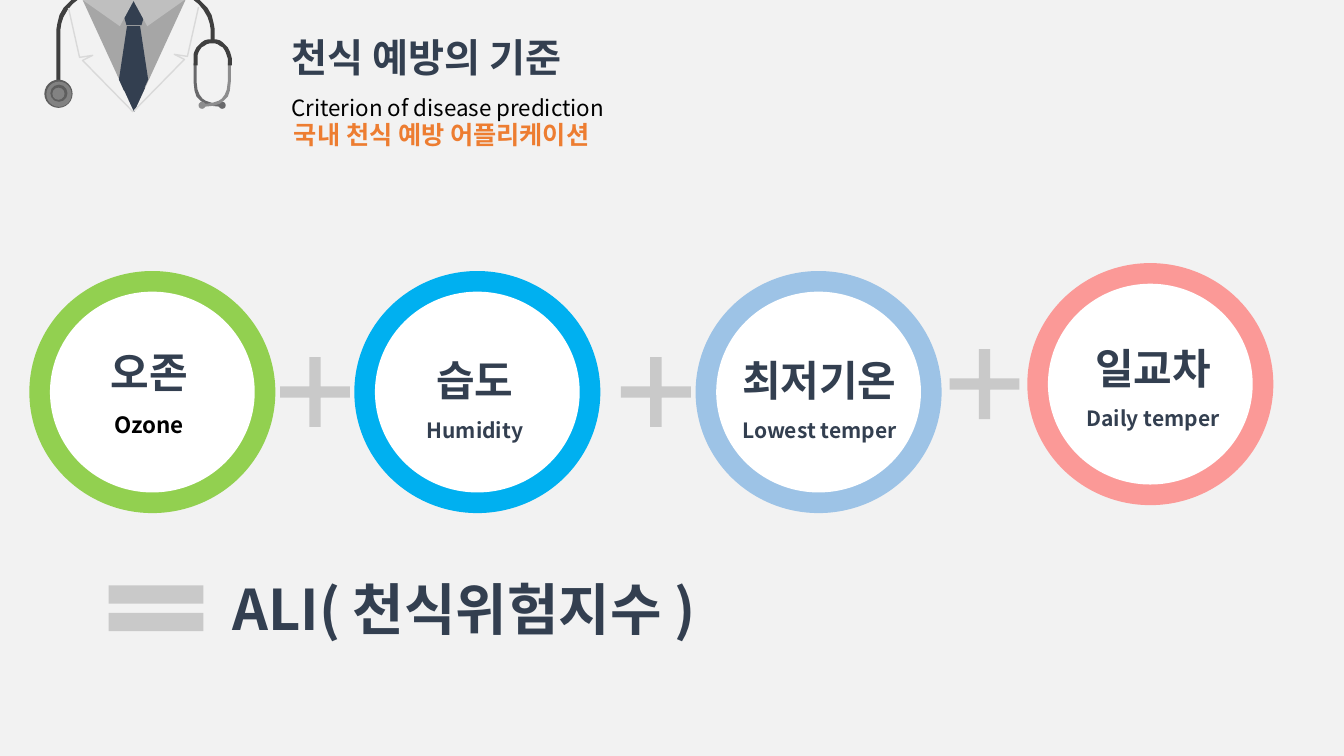
from math import cos, pi, sin

from lxml.etree import SubElement
from pptx import Presentation
from pptx.dml.color import RGBColor
from pptx.enum.shapes import MSO_SHAPE
from pptx.enum.text import MSO_ANCHOR, MSO_AUTO_SIZE, PP_ALIGN
from pptx.oxml.ns import qn
from pptx.util import Cm, Pt

FONT = "Noto Sans CJK KR"
PAPER = RGBColor(0xF2, 0xF2, 0xF2)
WHITE = RGBColor(0xFF, 0xFF, 0xFF)
BLACK = RGBColor(0, 0, 0)
NAVY = RGBColor(0x33, 0x3F, 0x50)
ORANGE = RGBColor(0xED, 0x7D, 0x31)
GREEN = RGBColor(0x92, 0xD0, 0x50)
CYAN = RGBColor(0x00, 0xB0, 0xF0)
BLUE = RGBColor(0x9D, 0xC3, 0xE6)
PINK = RGBColor(0xFB, 0x99, 0x97)
SIGN = RGBColor(0xC9, 0xC9, 0xC9)
SHIRT = RGBColor(0xA6, 0xA6, 0xA6)
COLLAR = RGBColor(0xBF, 0xBF, 0xBF)
SEAM = RGBColor(0xD9, 0xD9, 0xD9)
TUBE = RGBColor(0x3F, 0x3F, 0x3F)
RIM = RGBColor(0x5E, 0x5E, 0x5E)
DISC = RGBColor(0x82, 0x82, 0x82)
DARK = RGBColor(0x69, 0x69, 0x6B)
LIGHT = RGBColor(0x8D, 0x8D, 0x8E)

HEAD = {"size": Pt(28), "bold": True, "color": NAVY}
SUB = {"size": Pt(16), "bold": False, "color": BLACK}
NOTE = {"size": Pt(18), "bold": True, "color": ORANGE}
NAME = {"size": Pt(30), "bold": True, "color": NAVY}
TERM = {"size": Pt(15), "bold": True, "color": NAVY}
FIRST = {"size": Pt(16), "bold": True, "color": BLACK}
SUM = {"size": Pt(40), "bold": True, "color": NAVY}

TITLE = [("천식 예방의 기준", HEAD), ("Criterion of disease prediction", SUB)]
TAG = [("국내 천식 예방 어플리케이션", NOTE)]
RESULT = [("ALI( 천식위험지수 )", SUM)]
FACTORS = [
    {"lines": [("오존", NAME), ("Ozone", FIRST)], "hue": GREEN,
     "ring": (0.74, 6.83), "mid": 3.76, "top": 7.98, "plus": None},
    {"lines": [("습도", NAME), ("Humidity", TERM)], "hue": CYAN,
     "ring": (8.93, 6.83), "mid": 11.97, "top": 8.18, "plus": 7.06},
    {"lines": [("최저기온", NAME), ("Lowest temper", TERM)], "hue": BLUE,
     "ring": (17.53, 6.83), "mid": 20.65, "top": 8.18, "plus": 15.65},
    {"lines": [("일교차", NAME), ("Daily temper", TERM)], "hue": PINK,
     "ring": (25.89, 6.63), "mid": 29.06, "top": 7.87, "plus": 23.93},
]

UNIT = Cm(0.0254)
KNOT = [(126, 26), (139, 26), (147, 79), (142, 90), (123, 90), (118, 79)]
BEND = [(71, 0), (77, 0), (72, 4), (67, 10), (63, 17), (61, 23), (60, 29)]
BACK = [(56, 29), (57, 23), (59, 15), (63, 8), (69, 2)]
STEM = [(219, 106), (209, 105), (203, 103), (199, 100), (195, 96), (193, 90),
        (192, 81), (192, 63), (195, 63), (195, 81), (196, 89), (198, 94),
        (201, 98), (204, 100), (210, 102), (216, 103), (221, 103), (221, 106)]
LAPEL = [(68, 8), (79, 57), (92, 55), (82, 60), (132, 111)]
DISCS = [((44, 79, 28, 28), RIM), ((46, 81, 25, 25), DISC),
         ((50, 84, 17, 17), RIM), ((52, 87, 12, 12), DISC)]

deck = Presentation()
deck.slide_width, deck.slide_height = Cm(33.87), Cm(19.05)
slide = deck.slides.add_slide(deck.slide_layouts[5])
slide.background.fill.solid()
slide.background.fill.fore_color.rgb = PAPER


def paint(shape, hue):
    shape.shadow.inherit = False
    shape.fill.solid()
    shape.fill.fore_color.rgb = hue
    shape.line.fill.background()
    return shape


def draw(kind, box, hue):
    return paint(slide.shapes.add_shape(kind, *map(Cm, box)), hue)


def write(shape, lines, align=PP_ALIGN.LEFT, space=1.0, wrap=True):
    frame = shape.text_frame
    looks = {"word_wrap": wrap, "auto_size": MSO_AUTO_SIZE.NONE,
             "vertical_anchor": MSO_ANCHOR.TOP}
    for key, value in looks.items():
        setattr(frame, key, value)
    for i, (text, style) in enumerate(lines):
        para = frame.add_paragraph() if i else frame.paragraphs[0]
        para.alignment, para.line_spacing = align, space
        run = para.add_run()
        run.text = text
        for key, value in style.items():
            if key == "color":
                run.font.color.rgb = value
            else:
                setattr(run.font, key, value)
        run.font.name = FONT
        SubElement(run.font._element, qn("a:ea")).set("typeface", FONT)


def label(box, lines, **opts):
    write(slide.shapes.add_textbox(*map(Cm, box)), lines, **opts)


def flip(points, total, lift=0):
    return [(total - x, y - lift) for x, y in points]


coat = slide.shapes.add_group_shape().shapes


def part(kind, box, hue, turn=0, peak=None):
    shape = paint(coat.add_shape(kind, *(n * UNIT for n in box)), hue)
    shape.rotation = turn
    if peak is not None:
        shape.adjustments[0] = peak


def trace(points, hue, close=True):
    pen = coat.build_freeform(*points[0], scale=UNIT)
    pen.add_line_segments(points[1:], close=close)
    shape = paint(pen.convert_to_shape(), hue)
    if not close:
        shape.fill.background()
        shape.line.color.rgb = hue
        shape.line.width = Pt(1)


def arc(radius, start, end):
    steps = [start + (end - start) * i / 16 for i in range(17)]
    return [(210.5 + radius * cos(a), 58 - radius * sin(a)) for a in steps]


part(MSO_SHAPE.ISOSCELES_TRIANGLE, (82, 0, 102, 111), SHIRT, 180)
part(MSO_SHAPE.REGULAR_PENTAGON, (121, 0, 24, 25), NAVY)
trace(KNOT, NAVY)
part(MSO_SHAPE.ISOSCELES_TRIANGLE, (82, 0, 51, 26), COLLAR, 180, 0.277)
trace(BEND + [(60, 100), (56, 100)] + BACK, TUBE)
trace(flip(BEND + [(60, 42), (56, 42)] + BACK, 269), TUBE)
for box, hue in DISCS:
    part(MSO_SHAPE.OVAL, box, hue)
for stem, left, hue in [(STEM, 217, DARK), (flip(STEM, 421), 197, LIGHT)]:
    trace(stem, hue)
    part(MSO_SHAPE.OVAL, (left, 101, 7, 7), hue)
trace([(229.5, 65)] + arc(19, 0, pi) + [(191.5, 65), (195.5, 65)]
      + arc(15, pi, 0) + [(225.5, 65)], TUBE)
part(MSO_SHAPE.ISOSCELES_TRIANGLE, (132, 0, 51, 26), COLLAR, 180, 0.723)
part(MSO_SHAPE.ISOSCELES_TRIANGLE, (122, 87, 22, 24), NAVY, 180)
trace(LAPEL, SEAM, close=False)
trace(flip(LAPEL, 265, 1), SEAM, close=False)

title = slide.shapes.title
place = {"left": 7.09, "top": 0.13, "width": 17.02, "height": 3.05}
for key, value in place.items():
    setattr(title, key, Cm(value))
write(title, TITLE, space=1.5)
label((7.16, 2.87, 8.89, 1.02), TAG, wrap=False)

WIDE, TALL, INSET, CROSS, SPAN = 6.2, 6.1, 0.52, 1.76, 7.98
for item in FACTORS:
    left, top = item["ring"]
    draw(MSO_SHAPE.OVAL, (left, top, WIDE, TALL), item["hue"])
    draw(MSO_SHAPE.OVAL, (left + INSET, top + INSET,
                          WIDE - 2 * INSET, TALL - 2 * INSET), WHITE)
    label((item["mid"] - SPAN / 2, item["top"], SPAN, 3.15), item["lines"],
          align=PP_ALIGN.CENTER, space=1.5)
    if item["plus"]:
        cross = draw(MSO_SHAPE.CROSS, (item["plus"], top + (TALL - CROSS) / 2,
                                       CROSS, CROSS), SIGN)
        cross.adjustments[0] = 0.419

draw(MSO_SHAPE.MATH_EQUAL, (2.31, 14.35, 3.25, 1.96), SIGN)
label((5.61, 14.35, 17.02, 1.96), RESULT)

deck.save("out.pptx")
